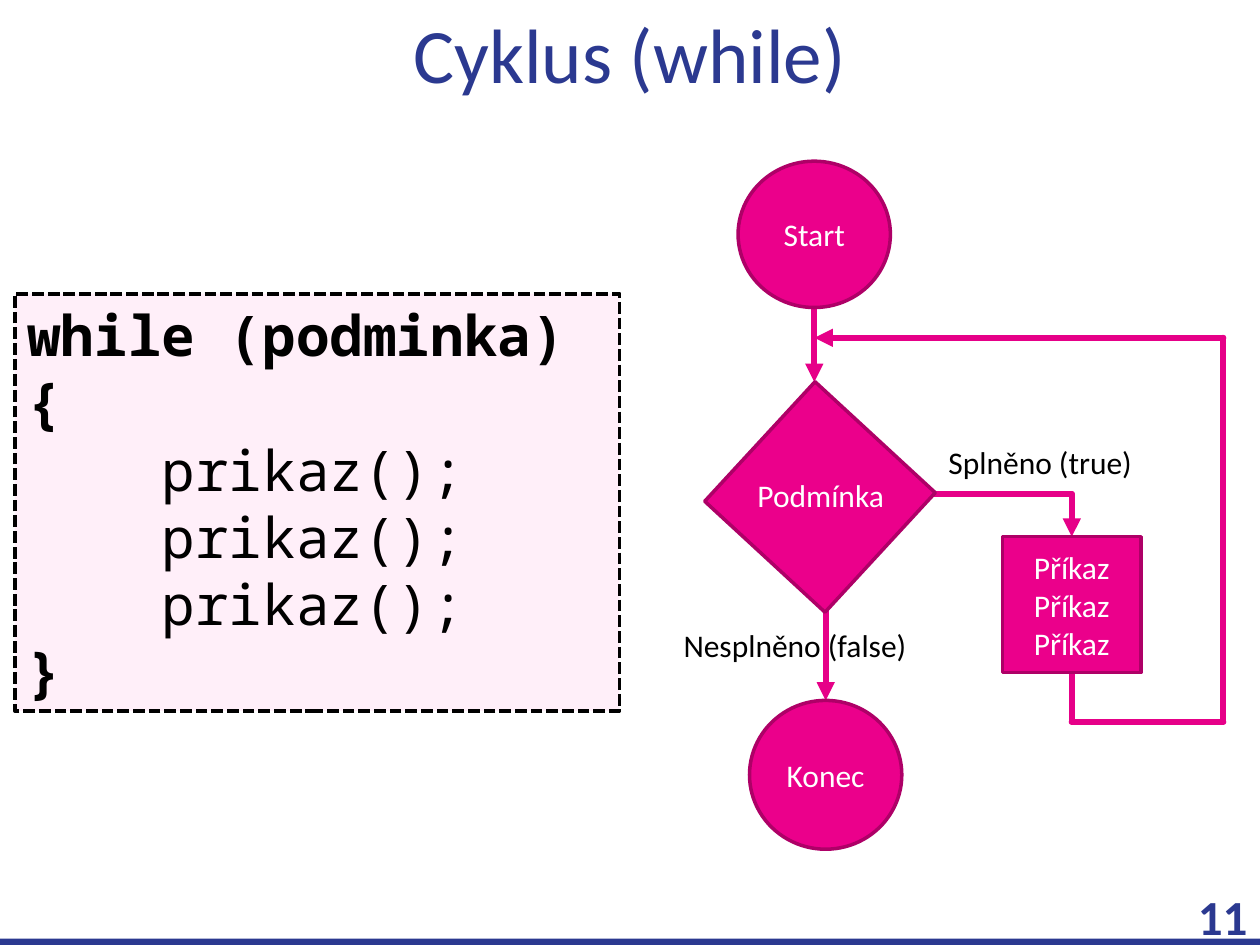
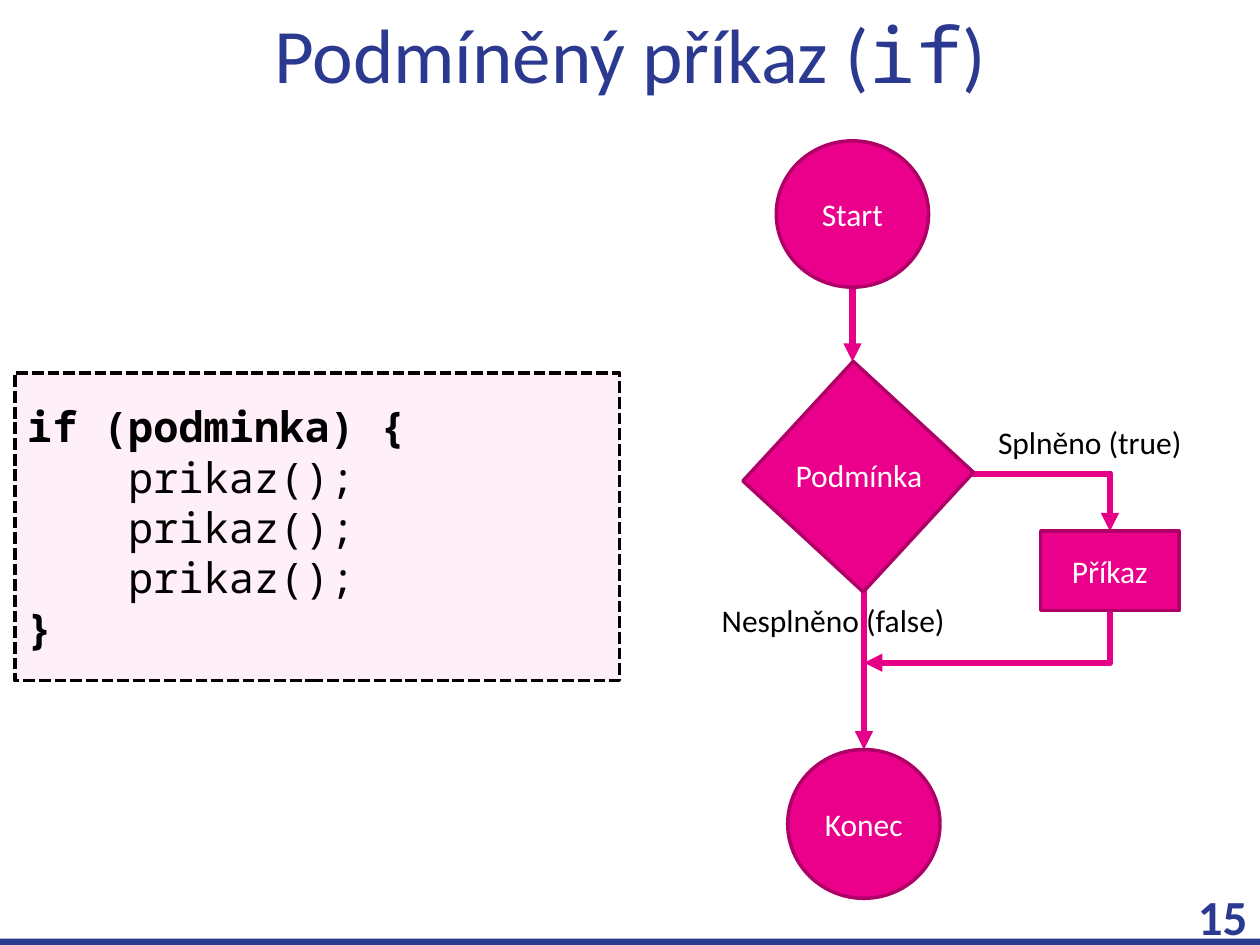
from dataclasses import dataclass

from lxml.etree import SubElement
from pptx import Presentation
from pptx.dml.color import RGBColor
from pptx.enum.dml import MSO_LINE
from pptx.enum.shapes import MSO_CONNECTOR, MSO_SHAPE
from pptx.enum.text import MSO_ANCHOR, PP_ALIGN
from pptx.oxml.ns import qn
from pptx.util import Cm, Pt


@dataclass(frozen=True)
class Theme:
    navy: str = "2B3990"
    pink: str = "EB008B"
    pink_outline: str = "AE0067"
    arrow: str = "E60088"
    code_fill: str = "FFEFF9"
    black: str = "000000"
    white: str = "FFFFFF"
    text_font: str = "Calibri"
    code_font: str = "Noto Sans Mono"
    title_size: int = 44
    number_size: int = 28
    label_size: int = 18
    outline: float = 2
    code_outline: float = 2.25
    arrow_width: float = 3.5


THEME = Theme()
PAGE_WIDTH, PAGE_HEIGHT = 25.4, 19.05
CIRCLE_WIDTH, START_HEIGHT, END_HEIGHT = 3.07, 2.95, 3.0
COMMAND_WIDTH = 2.79
LABEL_HEIGHT = 1.68


# Text
def format_run(run, size, color, font=THEME.text_font, bold=False):
    run.font.size = Pt(size)
    run.font.color.rgb = RGBColor.from_string(color)
    run.font.name = font
    run.font.bold = bold


def write_text(shape, text, size, color, alignment=PP_ALIGN.LEFT, bold=False):
    text_frame = shape.text_frame
    text_frame.text = text
    text_frame.word_wrap = True
    text_frame.vertical_anchor = MSO_ANCHOR.MIDDLE
    for paragraph in text_frame.paragraphs:
        paragraph.alignment = alignment
        for run in paragraph.runs:
            format_run(run, size, color, bold=bold)


def add_label(slide, text, left, top, width, height=LABEL_HEIGHT,
              size=THEME.label_size, color=THEME.black, **style):
    label = slide.shapes.add_textbox(Cm(left), Cm(top), Cm(width), Cm(height))
    write_text(label, text, size, color, **style)


# Shapes and lines
def add_filled(slide, kind, left, top, width, height, fill, outline=None,
               outline_width=THEME.outline):
    shape = slide.shapes.add_shape(kind, Cm(left), Cm(top), Cm(width), Cm(height))
    shape.shadow.inherit = False
    shape.fill.solid()
    shape.fill.fore_color.rgb = RGBColor.from_string(fill)
    if outline:
        shape.line.color.rgb = RGBColor.from_string(outline)
        shape.line.width = Pt(outline_width)
    else:
        shape.line.fill.background()
    return shape


def add_node(slide, kind, left, top, width, height, text=""):
    node = add_filled(slide, kind, left, top, width, height,
                      THEME.pink, THEME.pink_outline)
    if text:
        write_text(node, text, THEME.label_size, THEME.white, PP_ALIGN.CENTER)
    return node


def add_line(slide, start, end, arrow=False):
    line = slide.shapes.add_connector(
        MSO_CONNECTOR.STRAIGHT, *(Cm(value) for value in (*start, *end)))
    line.line.color.rgb = RGBColor.from_string(THEME.arrow)
    line.line.width = Pt(THEME.arrow_width)
    outline = line.get_or_add_ln()
    outline.set("cap", "rnd")
    if arrow:
        SubElement(outline, qn("a:tailEnd"), type="triangle")
    SubElement(outline.getparent(), qn("a:effectLst"))
    return line


def add_route(slide, points):
    """Joins the points by straight lines, the last with an arrowhead."""
    last = len(points) - 2
    return [add_line(slide, start, end, arrow=index == last)
            for index, (start, end) in enumerate(zip(points, points[1:]))]


# Slide frame: title, band and page number
def add_frame(presentation, title_parts, number):
    slide = presentation.slides.add_slide(presentation.slide_layouts[5])
    add_filled(slide, MSO_SHAPE.RECTANGLE, 0, PAGE_HEIGHT - 0.13,
               PAGE_WIDTH, 0.13, THEME.navy)
    title = slide.shapes.title
    title.left, title.top, title.width, title.height = Cm(1.27), Cm(0), Cm(22.86), Cm(2.13)
    title.text_frame.vertical_anchor = MSO_ANCHOR.MIDDLE
    paragraph = title.text_frame.paragraphs[0]
    paragraph.alignment = PP_ALIGN.CENTER
    for text, font in title_parts:
        run = paragraph.add_run()
        run.text = text
        format_run(run, THEME.title_size, THEME.navy, font)
    add_label(slide, number, 19.48, 18.01, 5.92, 0.91, THEME.number_size,
              THEME.navy, alignment=PP_ALIGN.RIGHT, bold=True)
    return slide


# Code sample: bold first and last lines, indented body
def add_code(slide, header, top, height, size):
    box = add_filled(slide, MSO_SHAPE.RECTANGLE, 0.3, top, 12.19, height,
                     THEME.code_fill, THEME.black, THEME.code_outline)
    box.line.dash_style = MSO_LINE.SQUARE_DOT
    lines = [header] + ["prikaz();"] * 3 + ["}"]
    write_text(box, "\n".join(lines), size, THEME.black)
    indent = Pt(4 * 0.6 * size)  # four monospaced characters
    for paragraph in box.text_frame.paragraphs:
        is_body = paragraph.text == "prikaz();"
        if is_body:
            paragraph._p.get_or_add_pPr().set("marL", str(indent))
        for run in paragraph.runs:
            format_run(run, size, THEME.black, THEME.code_font, bold=not is_body)


# Flowchart: start, condition, command branch and end
def add_flowchart(slide, left, top, commands, command_drop, command_height,
                  end_drop, true_offset, false_drop, return_points):
    start_x = left + CIRCLE_WIDTH / 2
    end_left, end_top = left + 0.23, top + end_drop
    end_x = end_left + CIRCLE_WIDTH / 2
    command_left, command_top = left + 5.33, top + command_drop
    command_x = command_left + COMMAND_WIDTH / 2
    branch_y = top + 6.71

    to_condition = add_line(slide, (start_x, top + START_HEIGHT),
                            (start_x, top + 4.45), arrow=True)
    to_end = add_line(slide, (end_x, top + 9), (end_x, end_top), arrow=True)
    branch = add_route(slide, [(left + 3.82, branch_y), (command_x, branch_y),
                               (command_x, command_top)])
    way_back = add_route(slide, [(command_x, command_top + command_height),
                                 (command_x, return_points[0][1]), *return_points])

    start = add_node(slide, MSO_SHAPE.OVAL, left, top, CIRCLE_WIDTH, START_HEIGHT, "Start")
    condition = add_node(slide, MSO_SHAPE.RECTANGLE, left, top + 5.13, 3.3, 3.28)
    condition.rotation = 42.7
    add_label(slide, "Podmínka", left - 0.66, top + 5.89, 4.65,
              color=THEME.white, alignment=PP_ALIGN.CENTER)
    end = add_node(slide, MSO_SHAPE.OVAL, end_left, end_top,
                   CIRCLE_WIDTH, END_HEIGHT, "Konec")
    command = add_node(slide, MSO_SHAPE.RECTANGLE, command_left, command_top,
                       COMMAND_WIDTH, command_height, "\n".join(commands))
    to_end.end_connect(end, 0)
    branch[-1].end_connect(command, 0)
    way_back[0].begin_connect(command, 2)

    # Branch labels
    add_label(slide, "Splněno (true)", left + true_offset, top + 5.23, 4.65)
    add_label(slide, "Nesplněno (false)", left - 1.35, top + false_drop, 5.11)


def main():
    presentation = Presentation()
    presentation.slide_width, presentation.slide_height = Cm(PAGE_WIDTH), Cm(PAGE_HEIGHT)

    # while loop: the command returns above the condition
    slide = add_frame(presentation, [("Cyklus (while)", THEME.text_font)], "11")
    add_code(slide, "while (podminka) {", top=5.92, height=8.41, size=32)
    add_flowchart(slide, left=14.88, top=3.25, commands=["Příkaz"] * 3,
                  command_drop=7.57, command_height=2.74, end_drop=10.87,
                  true_offset=3.99, false_drop=8.92,
                  return_points=[(24.66, 14.55), (24.66, 6.81), (16.42, 6.81)])

    # if statement: the command joins the way to the end
    slide = add_frame(presentation, [("Podmíněný příkaz (", THEME.text_font),
                                     ("if", THEME.code_font),
                                     (")", THEME.text_font)], "15")
    add_code(slide, "if (podminka) {", top=7.52, height=6.2, size=24)
    add_flowchart(slide, left=15.65, top=2.84, commands=["Příkaz"],
                  command_drop=7.87, command_height=1.6, end_drop=12.27,
                  true_offset=4.22, false_drop=8.81,
                  return_points=[(17.42, 13.36)])

    presentation.save("out.pptx")


if __name__ == "__main__":
    main()
